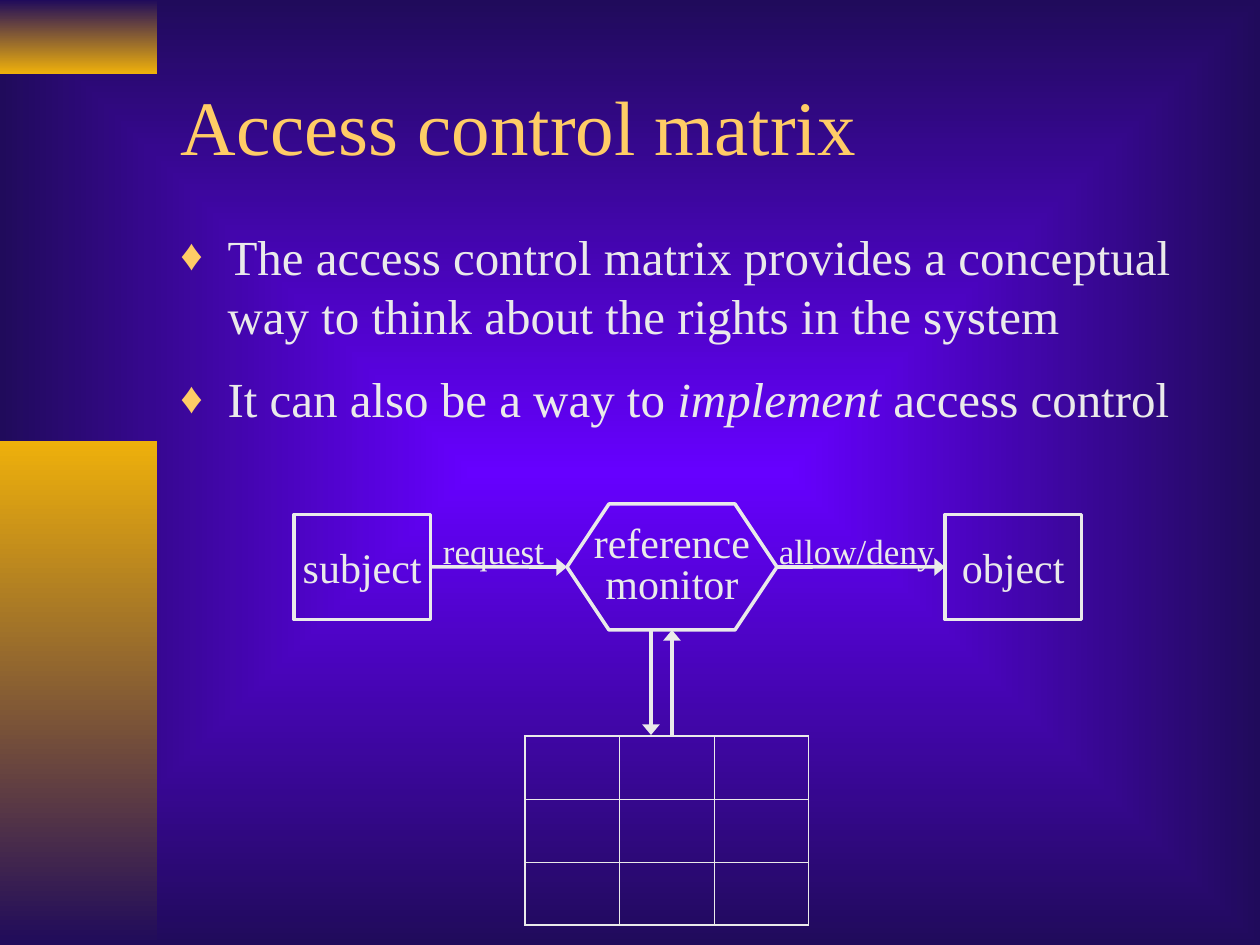
import pptx
import pptx.util
import pptx.dml.color
import pptx.enum.shapes
import pptx.enum.text
import pptx.oxml
import pptx.oxml.ns

RGBColor = pptx.dml.color.RGBColor
VIOLET = RGBColor(0x66, 0x00, 0xFF)
NAVY = RGBColor(0x20, 0x0B, 0x5B)
GOLD = RGBColor(0xEE, 0xB0, 0x0B)
YELLOW = RGBColor(0xFF, 0xCC, 0x66)
PALE = RGBColor(0xEA, 0xEA, 0xEA)

FONT = "Times New Roman"
Shape = pptx.enum.shapes.MSO_SHAPE
Align = pptx.enum.text.PP_ALIGN
Anchor = pptx.enum.text.MSO_ANCHOR
AutoSize = pptx.enum.text.MSO_AUTO_SIZE
TOP, LEFT, BOTTOM, RIGHT = range(4)


def grid(*steps):
    """Turn grid steps, twelve to the inch, into lengths."""
    return [pptx.util.Inches(step / 12) for step in steps]


def append_xml(parent, xml):
    namespace = pptx.oxml.ns.nsdecls("a")
    parent.append(pptx.oxml.parse_xml(xml.replace("NS", namespace, 1)))


def set_gradient(fill, first, last):
    fill.gradient()
    for stop, color in zip(fill.gradient_stops, (first, last)):
        stop.color.rgb = color


def style_text(para, size, color=PALE, align=Align.LEFT):
    para.alignment = align
    para.font.name = FONT
    para.font.size = pptx.util.Pt(size)
    para.font.color.rgb = color


def set_background(page):
    set_gradient(page.background.fill, VIOLET, NAVY)
    gradient = page._element.find(".//" + pptx.oxml.ns.qn("a:gradFill"))
    gradient.remove(gradient.find(pptx.oxml.ns.qn("a:lin")))
    append_xml(gradient, '<a:path NS path="rect"><a:fillToRect l="50000" '
                         't="50000" r="50000" b="50000"/></a:path>')


def add_band(page, top, height, first, last):
    band = page.shapes.add_shape(Shape.RECTANGLE, *grid(0, top, 15, height))
    band.shadow.inherit = False
    band.line.fill.background()
    set_gradient(band.fill, first, last)
    band.fill.gradient_angle = 270


def set_title(page, text):
    title = page.shapes.title
    title.left, title.top, title.width, title.height = grid(16, 4, 102, 15.8)
    frame = title.text_frame
    frame.text = text
    frame.vertical_anchor = Anchor.MIDDLE
    frame.auto_size = AutoSize.NONE
    style_text(frame.paragraphs[0], 44, YELLOW)


def add_bullets(page, items):
    """Each item is a list of (text, italic) spans."""
    frame = page.shapes.add_textbox(*grid(16, 21, 102, 59)).text_frame
    frame.word_wrap = True
    for index, spans in enumerate(items):
        para = frame.add_paragraph() if index else frame.paragraphs[0]
        if index:
            para.space_before = pptx.util.Pt(14)
        properties = para._p.get_or_add_pPr()
        indent = pptx.util.Inches(0.375)
        properties.set("marL", str(indent))
        properties.set("indent", str(-indent))
        append_xml(properties, f'<a:buClr NS><a:srgbClr val="{YELLOW}"/></a:buClr>')
        append_xml(properties, '<a:buSzPct NS val="90000"/>')
        append_xml(properties, f'<a:buFont NS typeface="{FONT}"/>')
        append_xml(properties, '<a:buChar NS char="♦"/>')
        style_text(para, 28)
        for text, italic in spans:
            span = para.add_run()
            span.text = text
            if italic:
                span.font.italic = True


def add_node(page, kind, place, text, line_spacing=None):
    node = page.shapes.add_shape(kind, *grid(*place))
    node.shadow.inherit = False
    node.fill.background()
    node.line.color.rgb = PALE
    node.line.width = pptx.util.Pt(2)
    frame = node.text_frame
    frame.word_wrap = False
    frame.vertical_anchor = Anchor.MIDDLE
    para = frame.paragraphs[0]
    para.text = text
    para.line_spacing = line_spacing
    style_text(para, 24, align=Align.CENTER)
    return node


def add_label(page, place, text):
    frame = page.shapes.add_textbox(*grid(*place)).text_frame
    frame.word_wrap = False
    frame.auto_size = AutoSize.SHAPE_TO_FIT_TEXT
    frame.text = text
    style_text(frame.paragraphs[0], 20, align=Align.CENTER)


def add_arrow(page, start, end, source=None, target=None):
    """Draw an arrow; source and target are (node, side) pairs to join."""
    arrow = page.shapes.add_connector(
        pptx.enum.shapes.MSO_CONNECTOR.STRAIGHT, *grid(*start, *end))
    if source:
        arrow.begin_connect(*source)
    if target:
        arrow.end_connect(*target)
    arrow.line.color.rgb = PALE
    arrow.line.width = pptx.util.Pt(2)
    append_xml(arrow.line._get_or_add_ln(),
               '<a:tailEnd NS type="triangle" w="lg" len="med"/>')
    append_xml(arrow._element.spPr, "<a:effectLst NS/>")


def add_matrix(page, size):
    table = page.shapes.add_table(size, size, *grid(50, 70.08, 27, 18)).table
    table.first_row = table.horz_banding = False
    last = size - 1
    for row in range(size):
        for column in range(size):
            cell = table.cell(row, column)
            properties = cell._tc.get_or_add_tcPr()
            outer = {"L": column == 0, "R": column == last,
                     "T": row == 0, "B": row == last}
            for side, is_outer in outer.items():
                width = pptx.util.Pt(1.08 if is_outer else 0.45)
                append_xml(properties,
                           f'<a:ln{side} NS w="{width}"><a:solidFill><a:srgbClr '
                           f'val="{PALE}"/></a:solidFill></a:ln{side}>')
            cell.fill.background()


def main():
    deck = pptx.Presentation()
    deck.slide_width, deck.slide_height = grid(120, 90)
    page = deck.slides.add_slide(deck.slide_layouts[5])

    # Backdrop and side bands
    set_background(page)
    add_band(page, 0, 7, NAVY, GOLD)
    add_band(page, 42, 48, GOLD, NAVY)

    # Title and bullets
    set_title(page, "Access control matrix")
    add_bullets(page, [
        [("The access control matrix provides a conceptual way to think "
          "about the rights in the system", False)],
        [("It can also be a way to ", False), ("implement", True),
         (" access control", False)],
    ])

    # Request flow
    subject = add_node(page, Shape.RECTANGLE, (28, 49, 13, 10), "subject")
    monitor = add_node(page, Shape.FLOWCHART_PREPARATION, (54, 48, 20, 12),
                       "reference\nmonitor", 0.8)
    target = add_node(page, Shape.RECTANGLE, (90, 49, 13, 10), "object")
    add_arrow(page, (41, 54), (54, 54), (subject, RIGHT), (monitor, LEFT))
    add_arrow(page, (74, 54), (90, 54), (monitor, RIGHT), (target, LEFT))
    add_label(page, (40.7, 49.8, 12.6, 5.3), "request")
    add_label(page, (72.9, 49.8, 17.4, 5.3), "allow/deny")

    # Matrix lookup
    add_matrix(page, 3)
    add_arrow(page, (62, 60), (62, 70))
    add_arrow(page, (64, 70), (64, 60), target=(monitor, BOTTOM))

    deck.save("out.pptx")


if __name__ == "__main__":
    main()
